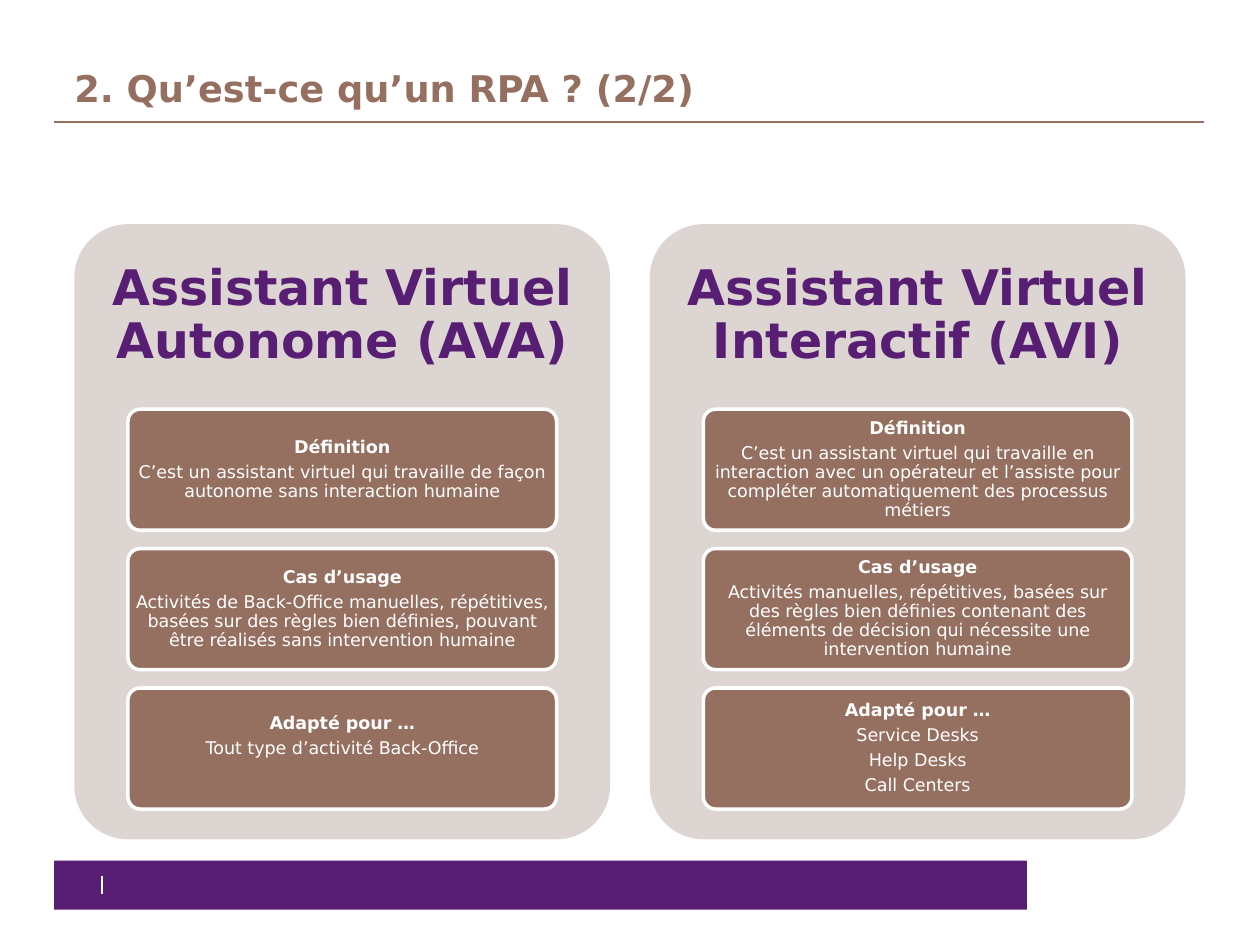
from dataclasses import dataclass

from lxml import etree
from pptx import Presentation
from pptx import util as u
from pptx.dml.color import RGBColor
from pptx.enum import shapes, text
from pptx.oxml.ns import qn

COLORS = {"purple": "571E74", "brown": "956F60", "panel": "DDD5D2", "white": "FFFFFF"}
FONT = "DejaVu Sans"

PANEL_LEFT, PANEL_TOP, PANEL_WIDTH, PANEL_HEIGHT = 1.5, 4.52, 10.8, 12.4
PANEL_PITCH = 11.6
HEADING_HEIGHT = 0.3 * PANEL_HEIGHT
CARD_TOP, CARD_HEIGHT, CARD_PITCH = 8.25, 2.44, 2.81
CARD_INSET = 0.1 * PANEL_WIDTH
CARD_WIDTH = 0.8 * PANEL_WIDTH


@dataclass
class Card:
    title: str
    lines: list[str]
    bottom: float = 0.05


@dataclass
class Panel:
    heading: str
    cards: list[Card]


PANELS = [
    Panel("Assistant Virtuel Autonome (AVA)", [
        Card("Définition", ["C’est un assistant virtuel qui travaille de façon autonome "
                            "sans interaction humaine"]),
        Card("Cas d’usage", ["Activités de Back-Office manuelles, répétitives, basées sur des "
                             "règles bien définies, pouvant être réalisés sans intervention humaine"]),
        Card("Adapté pour …", ["Tout type d’activité Back-Office"], bottom=0.55),
    ]),
    Panel("Assistant Virtuel Interactif (AVI)", [
        Card("Définition", ["C’est un assistant virtuel qui travaille en interaction avec un opérateur "
                            "et l’assiste pour compléter automatiquement des processus métiers"]),
        Card("Cas d’usage", ["Activités manuelles, répétitives, basées sur des règles bien définies "
                             "contenant des éléments de décision qui nécessite une intervention humaine"]),
        Card("Adapté pour …", ["Service Desks", "Help Desks", "Call Centers"]),
    ]),
]


def rgb(name: str) -> RGBColor:
    return RGBColor.from_string(COLORS[name])


def write(para, words: str, *, size: float, color: str, bold: bool = False,
          align=text.PP_ALIGN.CENTER, spacing: float = 0.9, after: float = 0) -> None:
    para.alignment = align
    para.line_spacing = spacing
    para.space_before = u.Pt(0)
    para.space_after = u.Pt(after)
    span = para.add_run()
    span.text = words
    span.font.name = FONT
    span.font.size = u.Pt(size)
    span.font.bold = bold
    span.font.color.rgb = rgb(color)


def set_frame(frame, anchor, left: float, top: float, right: float, bottom: float) -> None:
    frame.word_wrap = True
    frame.auto_size = text.MSO_AUTO_SIZE.NONE
    frame.vertical_anchor = anchor
    frame.margin_left, frame.margin_top = u.Cm(left), u.Cm(top)
    frame.margin_right, frame.margin_bottom = u.Cm(right), u.Cm(bottom)


def add_block(page, kind, left: float, top: float, width: float, height: float,
              fill: str, line: str | None = None):
    box = page.shapes.add_shape(kind, u.Cm(left), u.Cm(top), u.Cm(width), u.Cm(height))
    box.shadow.inherit = False
    box.fill.solid()
    box.fill.fore_color.rgb = rgb(fill)
    if line:
        box.line.color.rgb = rgb(line)
        box.line.width = u.Pt(2)
    else:
        box.line.fill.background()
    if kind == shapes.MSO_SHAPE.ROUNDED_RECTANGLE:
        box.adjustments[0] = 0.1
    return box


def add_rule(page, x1: float, y1: float, x2: float, y2: float, color: str) -> None:
    rule = page.shapes.add_connector(shapes.MSO_CONNECTOR.STRAIGHT,
                                     u.Cm(x1), u.Cm(y1), u.Cm(x2), u.Cm(y2))
    rule.line.color.rgb = rgb(color)
    rule.line.width = u.Pt(1)
    etree.SubElement(rule._element.spPr, qn("a:effectLst"))


def add_title(page, words: str) -> None:
    title = page.shapes.title
    title.left, title.top, title.width, title.height = u.Cm(1.5), u.Cm(0.84), u.Cm(22.4), u.Cm(1.37)
    set_frame(title.text_frame, text.MSO_ANCHOR.BOTTOM, 0, 0, 0, 0)
    write(title.text_frame.paragraphs[0], words, size=21, color="brown", bold=True,
          align=text.PP_ALIGN.LEFT, spacing=1.0)


def add_card(page, card: Card, left: float, top: float) -> None:
    box = add_block(page, shapes.MSO_SHAPE.ROUNDED_RECTANGLE, left, top,
                    CARD_WIDTH, CARD_HEIGHT, "brown", "white")
    frame = box.text_frame
    set_frame(frame, text.MSO_ANCHOR.MIDDLE, 0.07, 0.05, 0.07, card.bottom)
    write(frame.paragraphs[0], card.title, size=10, color="white", bold=True, after=3.5)
    for line in card.lines:
        write(frame.add_paragraph(), line, size=10, color="white", after=3.5)


def add_panel(page, panel: Panel, left: float) -> None:
    add_block(page, shapes.MSO_SHAPE.ROUNDED_RECTANGLE, left, PANEL_TOP,
              PANEL_WIDTH, PANEL_HEIGHT, "panel")
    heading = page.shapes.add_textbox(u.Cm(left), u.Cm(PANEL_TOP),
                                      u.Cm(PANEL_WIDTH), u.Cm(HEADING_HEIGHT))
    set_frame(heading.text_frame, text.MSO_ANCHOR.MIDDLE, 0.3, 0.3, 0.3, 0.3)
    write(heading.text_frame.paragraphs[0], panel.heading, size=28, color="purple", bold=True)
    for row, card in enumerate(panel.cards):
        add_card(page, card, left + CARD_INSET, CARD_TOP + row * CARD_PITCH)


def main() -> None:
    deck = Presentation()
    deck.slide_width, deck.slide_height = u.Cm(25.4), u.Cm(19.05)
    page = deck.slides.add_slide(deck.slide_layouts[5])
    add_block(page, shapes.MSO_SHAPE.RECTANGLE, 1.09, 17.35, 19.61, 0.99, "purple")
    add_rule(page, 2.06, 18.03, 2.06, 17.65, "white")
    add_rule(page, 1.09, 2.46, 24.28, 2.46, "brown")
    add_title(page, "2. Qu’est-ce qu’un RPA ? (2/2)")
    for column, panel in enumerate(PANELS):
        add_panel(page, panel, PANEL_LEFT + column * PANEL_PITCH)
    deck.save("out.pptx")


if __name__ == "__main__":
    main()
